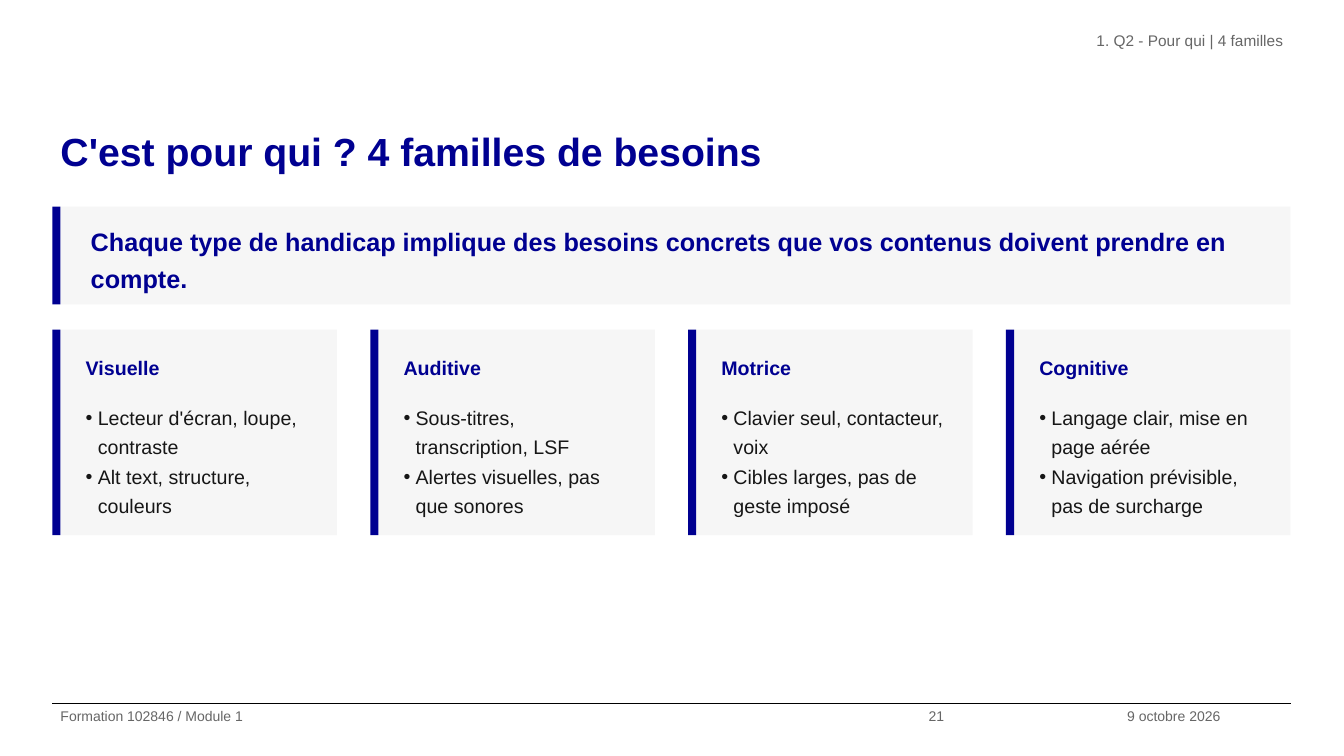
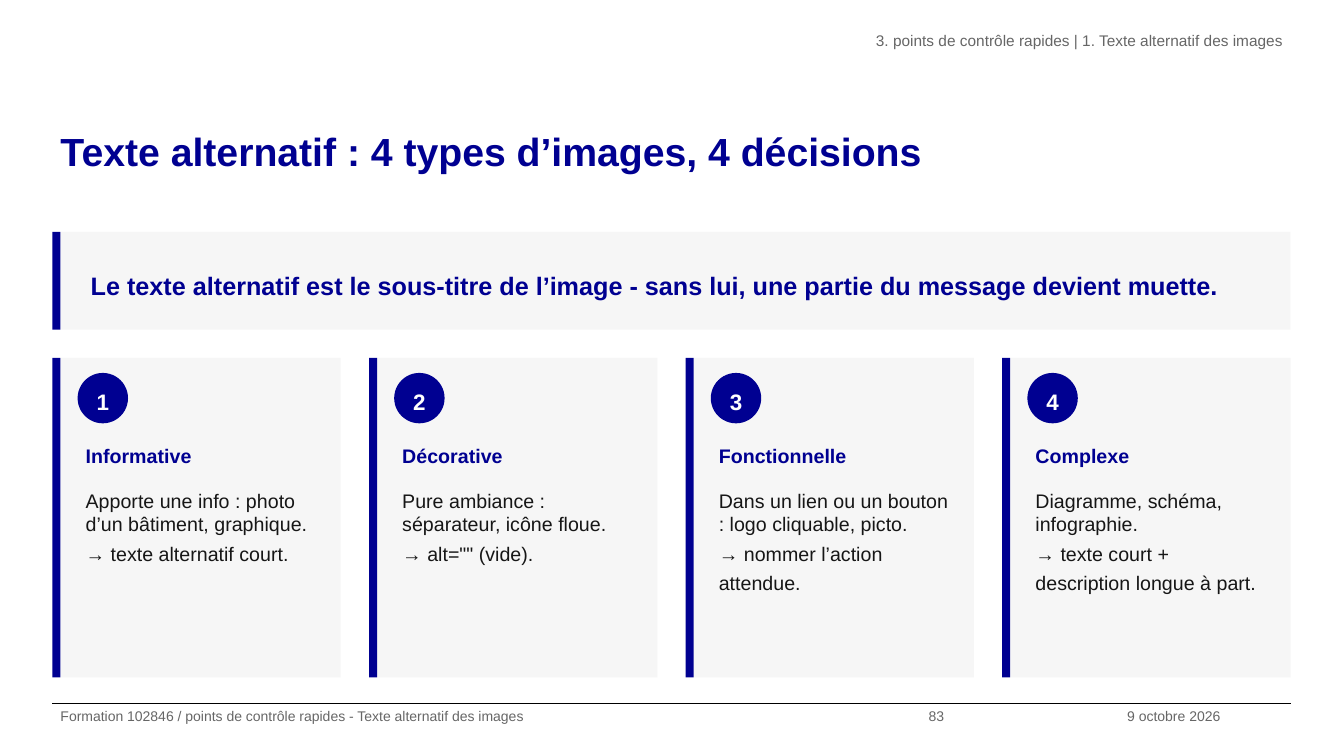
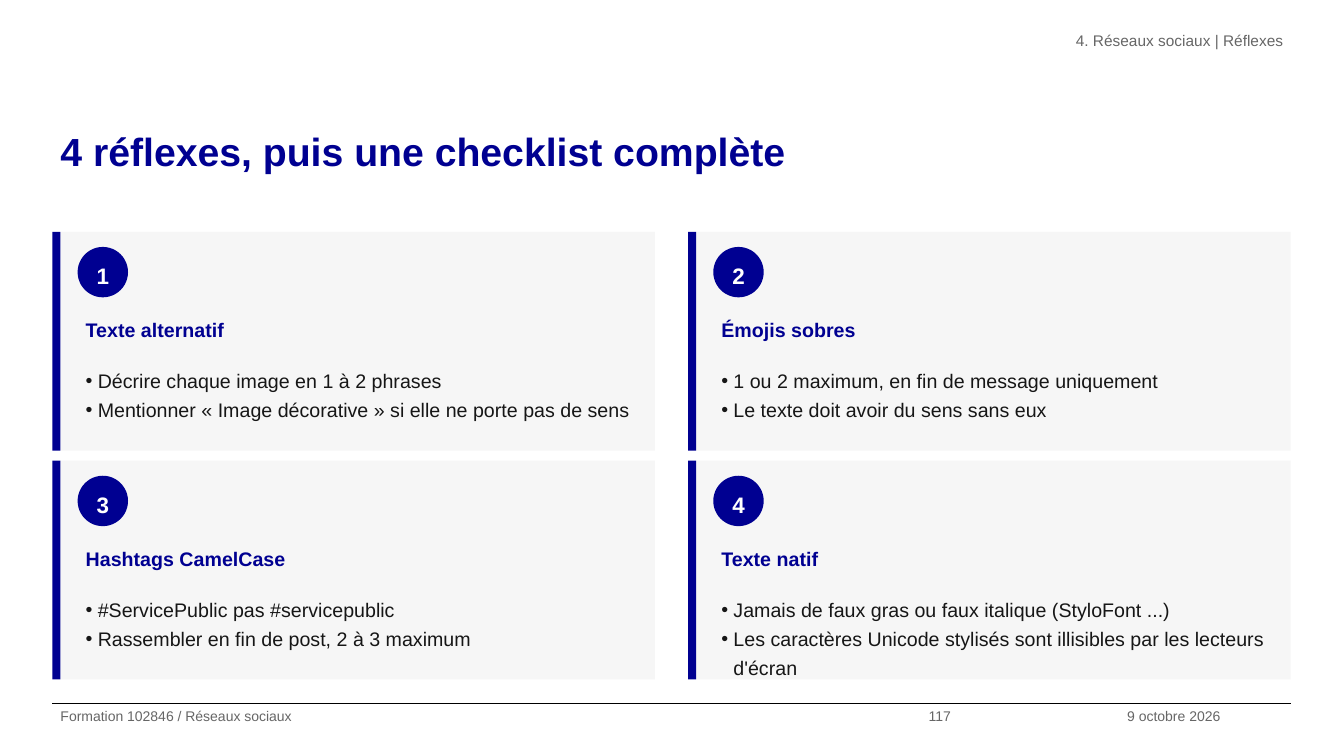
from lxml import etree
from pptx import Presentation
from pptx.dml.color import RGBColor
from pptx.enum.shapes import MSO_CONNECTOR, MSO_SHAPE
from pptx.enum.text import MSO_ANCHOR, MSO_AUTO_SIZE, PP_ALIGN
from pptx.oxml.ns import qn
from pptx.util import Inches, Pt

RECT, OVAL = MSO_SHAPE.RECTANGLE, MSO_SHAPE.OVAL
STRAIGHT = MSO_CONNECTOR.STRAIGHT
TOP, MIDDLE = MSO_ANCHOR.TOP, MSO_ANCHOR.MIDDLE
LEFT_ALIGN, CENTER, RIGHT_ALIGN = PP_ALIGN.LEFT, PP_ALIGN.CENTER, PP_ALIGN.RIGHT
FIXED, GROW = MSO_AUTO_SIZE.NONE, MSO_AUTO_SIZE.SHAPE_TO_FIT_TEXT

COLORS = {
    "blue": "000091",
    "panel": "F6F6F6",
    "text": "161616",
    "muted": "666666",
    "rule": "000000",
    "white": "FFFFFF",
}
FONT = "Arial"
LINE_SPACING = 1.25
MARGIN, CONTENT_W = 0.52, 12.28
BAR_W = 0.08
BULLET_INDENT = 0.12
FOOTER_TOP, FOOTER_H = 6.98, 0.52
DATE = "9 octobre 2026"


def color(name):
    return RGBColor.from_string(COLORS[name])


def set_frame(tf, anchor=TOP, inset=0.05, auto_size=FIXED):
    tf.word_wrap = True
    tf.auto_size = auto_size
    tf.vertical_anchor = anchor
    tf.margin_left = tf.margin_right = Inches(0.08)
    tf.margin_top = tf.margin_bottom = Inches(inset)


def format_paragraph(p, size, color_name, bold=False, align=LEFT_ALIGN, spacing=LINE_SPACING):
    p.alignment = align
    p.line_spacing = spacing
    for r in p.runs:
        r.font.name = FONT
        r.font.size = Pt(size)
        r.font.bold = bold
        r.font.color.rgb = color(color_name)


def add_bullet(p):
    p_pr = p._p.get_or_add_pPr()
    p_pr.set("marL", str(Inches(BULLET_INDENT)))
    p_pr.set("indent", str(-Inches(BULLET_INDENT)))
    etree.SubElement(p_pr, qn("a:buFont")).set("typeface", FONT)
    etree.SubElement(p_pr, qn("a:buChar")).set("char", "•")


def add_text(s, left, top, width, height, text, size, color_name, bold=False,
             align=LEFT_ALIGN, anchor=TOP, inset=0.05, auto_size=GROW):
    box = s.shapes.add_textbox(Inches(left), Inches(top), Inches(width), Inches(height))
    tf = box.text_frame
    set_frame(tf, anchor, inset, auto_size)
    tf.text = text
    for p in tf.paragraphs:
        format_paragraph(p, size, color_name, bold, align)
    return tf


def add_block(s, kind, left, top, width, height, fill):
    block = s.shapes.add_shape(kind, Inches(left), Inches(top), Inches(width), Inches(height))
    block.shadow.inherit = False
    block.fill.solid()
    block.fill.fore_color.rgb = color(fill)
    block.line.fill.background()
    return block


def add_panel(s, left, top, width, height):
    """Grey panel with a blue bar on its left; width includes the bar."""
    add_block(s, RECT, left + BAR_W, top, width - BAR_W, height, "panel")
    add_block(s, RECT, left, top, BAR_W, height, "blue")


def add_banner(s, top, text):
    add_panel(s, MARGIN, top, CONTENT_W, 0.97)
    add_text(s, MARGIN + 0.3, top + 0.1, CONTENT_W - 0.4, 0.78, text, 18, "blue",
             bold=True, anchor=MIDDLE)


def add_badge(s, left, top, number):
    tf = add_block(s, OVAL, left, top, 0.5, 0.5, "blue").text_frame
    set_frame(tf, MIDDLE)
    tf.text = str(number)
    format_paragraph(tf.paragraphs[0], 16, "white", bold=True, align=CENTER)


def add_card(s, left, top, width, height, heading, lines, bulleted, number=None):
    add_panel(s, left, top, width, height)
    text_left, text_top, text_w = left + 0.25, top + 0.15, width - 0.4
    if number:
        add_badge(s, text_left, text_top, number)
        text_top += 0.6
    add_text(s, text_left, text_top, text_w, 0.45, heading, 14, "blue", bold=True)
    body_top = text_top + 0.5
    tf = add_text(s, text_left, body_top, text_w, top + height - 0.1 - body_top,
                  "\n".join(lines), 14, "text")
    if bulleted:
        for p in tf.paragraphs:
            add_bullet(p)
    else:
        tf.paragraphs[0].line_spacing = 1.0


def add_card_grid(s, top, height, cards, columns, gap, bulleted=True, numbered=True):
    width = (CONTENT_W - gap * (columns - 1)) / columns
    for i, (heading, lines) in enumerate(cards):
        row, column = divmod(i, columns)
        add_card(s, MARGIN + column * (width + gap), top + row * (height + 0.1),
                 width, height, heading, lines, bulleted, i + 1 if numbered else None)


def add_footer(s, label, number):
    rule = s.shapes.add_connector(STRAIGHT, Inches(MARGIN), Inches(FOOTER_TOP),
                                  Inches(MARGIN + CONTENT_W), Inches(FOOTER_TOP))
    rule.line.color.rgb = color("rule")
    rule.line.width = Pt(0.8)
    etree.SubElement(rule._element.spPr, qn("a:effectLst"))
    for left, width, text in ((MARGIN, 8.61, label), (9.13, 1.97, str(number)), (11.1, 1.71, DATE)):
        add_text(s, left, FOOTER_TOP, width, FOOTER_H, text, 10, "muted", inset=0, auto_size=FIXED)


def new_slide(prs, title, section, footer, number):
    s = prs.slides.add_slide(prs.slide_layouts[5])
    heading = s.shapes.title
    heading.left, heading.top = Inches(MARGIN), Inches(1.15)
    heading.width, heading.height = Inches(CONTENT_W), Inches(1.05)
    set_frame(heading.text_frame, inset=0)
    heading.text_frame.text = title
    format_paragraph(heading.text_frame.paragraphs[0], 28, "blue", bold=True)
    add_text(s, 4.83, 0.26, 7.98, 0.52, section, 11, "muted", align=RIGHT_ALIGN,
             inset=0, auto_size=FIXED)
    add_footer(s, footer, number)
    return s


def build_needs(prs):
    s = new_slide(prs, "C'est pour qui ? 4 familles de besoins",
                  "1. Q2 - Pour qui | 4 familles", "Formation 102846 / Module 1", 21)
    add_banner(s, 2.05, "Chaque type de handicap implique des besoins concrets "
                        "que vos contenus doivent prendre en compte.")
    families = [
        ("Visuelle", ["Lecteur d'écran, loupe, contraste", "Alt text, structure, couleurs"]),
        ("Auditive", ["Sous-titres, transcription, LSF", "Alertes visuelles, pas que sonores"]),
        ("Motrice", ["Clavier seul, contacteur, voix", "Cibles larges, pas de geste imposé"]),
        ("Cognitive", ["Langage clair, mise en page aérée",
                       "Navigation prévisible, pas de surcharge"]),
    ]
    add_card_grid(s, 3.27, 2.04, families, columns=4, gap=0.33, numbered=False)


def build_image_types(prs):
    s = new_slide(prs, "Texte alternatif : 4 types d’images, 4 décisions",
                  "3. points de contrôle rapides | 1. Texte alternatif des images",
                  "Formation 102846 / points de contrôle rapides - Texte alternatif des images", 83)
    add_banner(s, 2.3, "Le texte alternatif est le sous-titre de l’image - sans lui, "
                       "une partie du message devient muette.")
    image_types = [
        ("Informative", ["Apporte une info : photo d’un bâtiment, graphique.",
                         "→ texte alternatif court."]),
        ("Décorative", ["Pure ambiance : séparateur, icône floue.", '→ alt="" (vide).']),
        ("Fonctionnelle", ["Dans un lien ou un bouton : logo cliquable, picto.",
                           "→ nommer l’action attendue."]),
        ("Complexe", ["Diagramme, schéma, infographie.",
                      "→ texte court + description longue à part."]),
    ]
    add_card_grid(s, 3.55, 3.17, image_types, columns=4, gap=0.28, bulleted=False)


def build_reflexes(prs):
    s = new_slide(prs, "4 réflexes, puis une checklist complète",
                  "4. Réseaux sociaux | Réflexes", "Formation 102846 / Réseaux sociaux", 117)
    reflexes = [
        ("Texte alternatif", ["Décrire chaque image en 1 à 2 phrases",
                              "Mentionner « Image décorative » si elle ne porte pas de sens"]),
        ("Émojis sobres", ["1 ou 2 maximum, en fin de message uniquement",
                           "Le texte doit avoir du sens sans eux"]),
        ("Hashtags CamelCase", ["#ServicePublic pas #servicepublic",
                                "Rassembler en fin de post, 2 à 3 maximum"]),
        ("Texte natif", ["Jamais de faux gras ou faux italique (StyloFont ...)",
                         "Les caractères Unicode stylisés sont illisibles "
                         "par les lecteurs d'écran"]),
    ]
    add_card_grid(s, 2.3, 2.17, reflexes, columns=2, gap=0.33)


def main():
    prs = Presentation()
    prs.slide_width, prs.slide_height = Inches(13.33), Inches(7.5)
    build_needs(prs)
    build_image_types(prs)
    build_reflexes(prs)
    prs.save("out.pptx")


if __name__ == "__main__":
    main()
